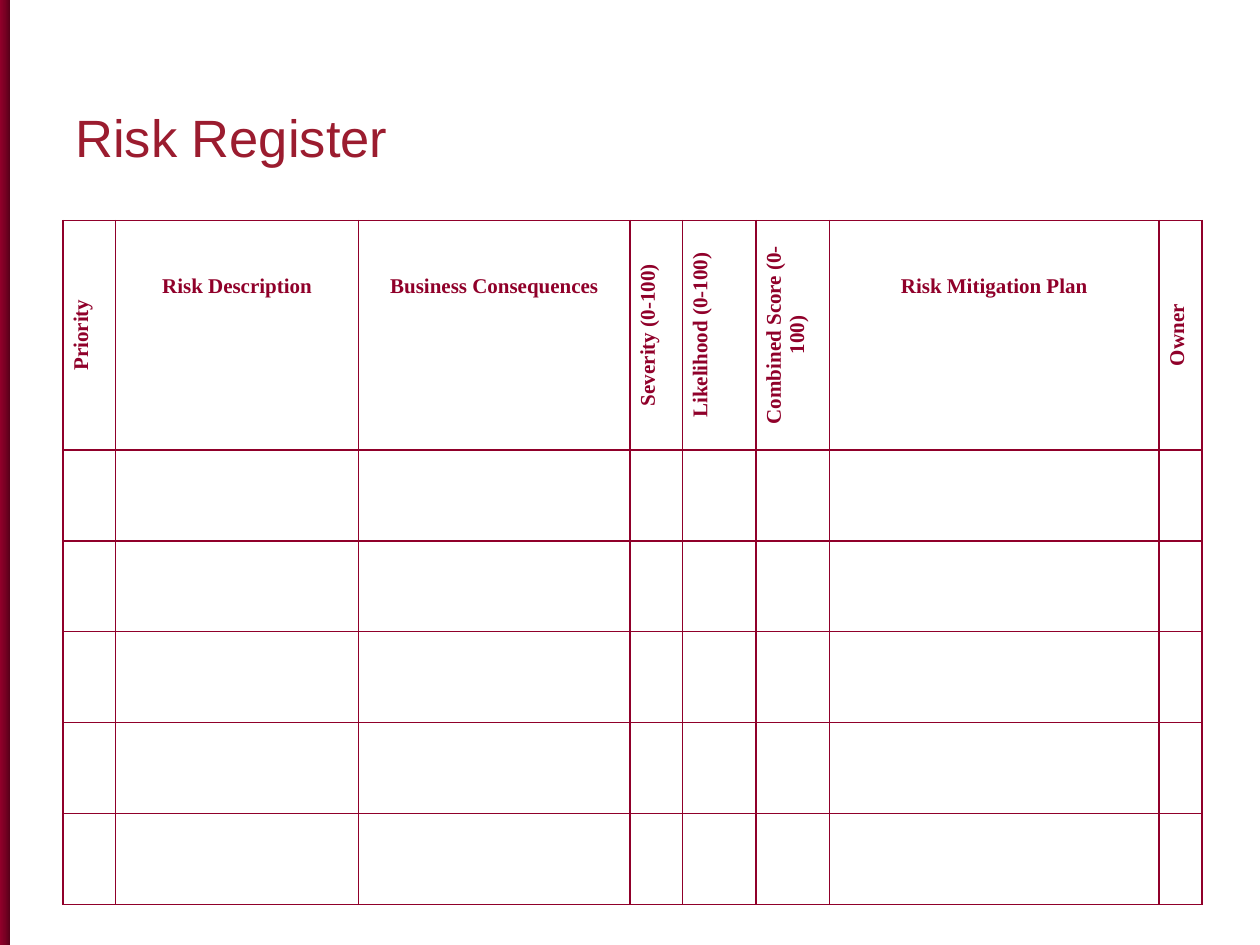
from copy import deepcopy

from lxml import etree
from pptx import Presentation
from pptx.dml.color import RGBColor
from pptx.enum import shapes, text
from pptx.oxml import ns
from pptx.util import Pt

WINE = RGBColor(0x90, 0x00, 0x2A)
MID = RGBColor(0x79, 0x00, 0x23)
DARK = RGBColor(0x55, 0x00, 0x19)
RED = RGBColor(0x9B, 0x1C, 0x2F)

# Heading, column width, whether the heading runs upwards
COLS = [
    ("Priority", 30, True),
    ("Risk Description", 139, False),
    ("Business Consequences", 155, False),
    ("Severity (0-100)", 30, True),
    ("Likelihood (0-100)", 42, True),
    ("Combined Score (0-100)", 42, True),
    ("Risk Mitigation Plan", 188.5, False),
    ("Owner", 24.5, True),
]
ROWS = [113.8] + [52] * 5
HEAD_DROP = 31.2  # top margin that lowers the level headings


def write(frame, words, size, font, color, bold=False, align=text.PP_ALIGN.LEFT):
    para = frame.paragraphs[0]
    para.alignment = align
    run = para.add_run()
    run.text = words
    run.font.size = Pt(size)
    run.font.name = font
    run.font.bold = bold
    run.font.color.rgb = color


def add_bar(slide):
    bar = slide.shapes.add_shape(
        shapes.MSO_SHAPE.RECTANGLE, 0, 0, Pt(5.8), Pt(541.4))
    bar.shadow.inherit = False
    bar.line.fill.background()
    bar.fill.gradient()
    bar.fill.gradient_angle = 180
    # A third stop goes between the two default ones
    first = bar.fill._fill._gradFill.gsLst[0]
    first.addnext(deepcopy(first))
    for stop, color, place in zip(
            bar.fill.gradient_stops, (DARK, MID, WINE), (0, 0.5, 1)):
        stop.color.rgb = color
        stop.position = place


def add_title(slide):
    box = slide.shapes.add_textbox(Pt(36), Pt(41.8), Pt(651), Pt(57.6))
    frame = box.text_frame
    frame.word_wrap = True
    frame.vertical_anchor = text.MSO_ANCHOR.BOTTOM
    write(frame, "Risk Register", 30, "Arial", RED)


def set_edges(cell, color, width):
    props = cell._tc.get_or_add_tcPr()
    for i, side in enumerate(("a:lnL", "a:lnR", "a:lnT", "a:lnB")):
        line = etree.Element(ns.qn(side), w=str(Pt(width)))
        fill = etree.SubElement(line, ns.qn("a:solidFill"))
        etree.SubElement(fill, ns.qn("a:srgbClr"), val=str(color))
        props.insert(i, line)


def add_grid(slide):
    grid = slide.shapes.add_table(
        len(ROWS), len(COLS), Pt(36), Pt(126), Pt(651), Pt(sum(ROWS))).table
    grid.first_row = False
    grid.horz_banding = False
    for row, height in zip(grid.rows, ROWS):
        row.height = Pt(height)
    for cell in grid.iter_cells():
        cell.fill.background()
        set_edges(cell, WINE, 1)

    # Column widths and headings
    for i, (words, width, upward) in enumerate(COLS):
        grid.columns[i].width = Pt(width)
        cell = grid.cell(0, i)
        if upward:
            cell._tc.get_or_add_tcPr().set("vert", "vert270")
        else:
            cell.margin_top = Pt(HEAD_DROP)
        write(cell.text_frame, words, 12, "Times New Roman", WINE,
              bold=True, align=text.PP_ALIGN.CENTER)


def main():
    deck = Presentation()
    deck.slide_width = Pt(720)
    deck.slide_height = Pt(540)
    slide = deck.slides.add_slide(deck.slide_layouts[6])
    add_bar(slide)
    add_title(slide)
    add_grid(slide)
    deck.save("out.pptx")


if __name__ == "__main__":
    main()
